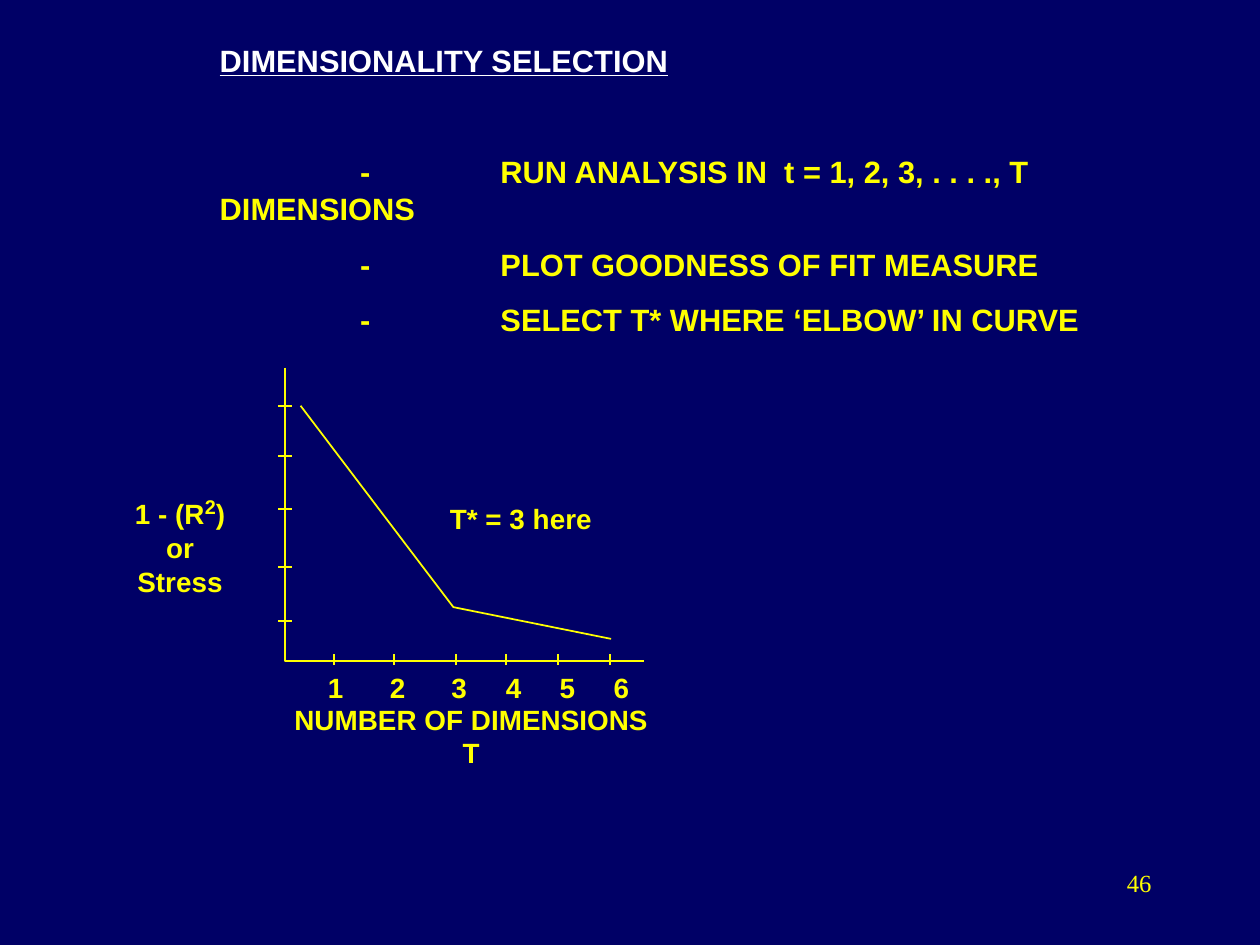
from lxml import etree
from pptx import Presentation
from pptx import util as u
from pptx.dml.color import RGBColor
from pptx.enum import shapes, text
from pptx.oxml import ns

NAVY = RGBColor(0x00, 0x00, 0x66)
YELLOW = RGBColor(0xFF, 0xFF, 0x00)
WHITE = RGBColor(0xFF, 0xFF, 0xFF)
CENTER, RIGHT = text.PP_ALIGN.CENTER, text.PP_ALIGN.RIGHT

TAB = 2.83
TITLE = "DIMENSIONALITY SELECTION"
STEPS = [
    ("RUN ANALYSIS IN  t = 1, 2, 3, . . . ., T DIMENSIONS", 1.0, 42.6),
    ("PLOT GOODNESS OF FIT MEASURE", 1.5, 0),
    ("SELECT T* WHERE ‘ELBOW’ IN CURVE", 1.5, 0),
]
BODY_FONT = {"name": "Arial", "size": u.Pt(17.6), "bold": True}
LABEL_FONT = {"name": "Arial", "size": u.Pt(15.9), "bold": True}
NUMBER_FONT = {"name": "Times New Roman", "size": u.Pt(14.1)}

AXES = [(5.74, 7.41), (5.74, 13.33), (12.98, 13.33)]
CURVE = [(6.06, 8.18), (9.14, 12.24), (12.32, 12.88)]
X_TICKS = [6.74, 7.94, 9.2, 10.2, 11.25, 12.29]
Y_TICKS = [8.18, 9.2, 10.26, 11.43, 12.52]
DIGITS = [("1", 6.36), ("2", 7.61), ("3", 8.85), ("4", 9.95), ("5", 11.03), ("6", 12.12)]


def set_all(target, values):
    for name, value in values.items():
        setattr(target, name, value)


def add_run(paragraph, content, font, color=YELLOW):
    run = paragraph.add_run()
    run.text = content
    set_all(run.font, font)
    run.font.color.rgb = color
    return run


def add_box(slide, place, wrap=False, grow=True):
    frame = slide.shapes.add_textbox(*map(u.Cm, place)).text_frame
    frame.word_wrap = wrap
    if grow:
        frame.auto_size = text.MSO_AUTO_SIZE.SHAPE_TO_FIT_TEXT
    return frame


def add_lines(frame, lines, font, **format_values):
    for index, line in enumerate(lines):
        paragraph = frame.add_paragraph() if index else frame.paragraphs[0]
        set_all(paragraph, format_values)
        add_run(paragraph, line, font)


def set_indent(paragraph):
    properties = paragraph._p.get_or_add_pPr()
    for name, length in {"marL": TAB, "indent": 0, "defTabSz": TAB}.items():
        properties.set(name, str(int(u.Cm(length))))


def style_line(shape):
    shape.line.color.rgb = YELLOW
    shape.line.width = u.Pt(1)


def add_polyline(slide, points):
    start, *rest = [(u.Cm(x), u.Cm(y)) for x, y in points]
    builder = slide.shapes.build_freeform(*start)
    builder.add_line_segments(rest, close=False)
    shape = builder.convert_to_shape()
    shape.fill.background()
    shape.shadow.inherit = False
    style_line(shape)


def add_tick(slide, *ends):
    tick = slide.shapes.add_connector(shapes.MSO_CONNECTOR.STRAIGHT, *map(u.Cm, ends))
    style_line(tick)
    etree.SubElement(tick._element.spPr, ns.qn("a:effectLst"))


def add_body(slide):
    frame = add_box(slide, (1.35, 0.71, 22.76, 15.72), wrap=True)
    title = frame.paragraphs[0]
    set_indent(title)
    add_run(title, TITLE, {**BODY_FONT, "underline": True}, WHITE)
    for step, spacing, before in STEPS:
        paragraph = frame.add_paragraph()
        set_all(paragraph, {"line_spacing": spacing, "space_before": u.Pt(before)})
        set_indent(paragraph)
        add_run(paragraph, "\t-\t" + step, BODY_FONT)


def add_plot(slide):
    add_polyline(slide, AXES)
    for x in X_TICKS:
        add_tick(slide, x, 13.41, x, 13.18)
    for y in Y_TICKS:
        add_tick(slide, 5.61, y, 5.89, y)
    add_polyline(slide, CURVE)

    axis_title = add_box(slide, (5.65, 14.04, 7.7, 1.6))
    add_lines(axis_title, ["NUMBER OF DIMENSIONS", "T"], LABEL_FONT, alignment=CENTER)
    for digit, left in DIGITS:
        add_lines(add_box(slide, (left, 13.4, 0.82, 0.94)), [digit], LABEL_FONT)
    elbow = add_box(slide, (8.82, 9.65, 3.38, 1.27))
    add_lines(elbow, ["T* = 3 here"], LABEL_FONT, line_spacing=1.5)

    measure = add_box(slide, (2.45, 9.76, 2.36, 2.29))
    add_lines(measure, ["1 - (R", "or", "Stress"], LABEL_FONT, alignment=CENTER)
    first = measure.paragraphs[0]
    square = add_run(first, "2", {**LABEL_FONT, "size": u.Pt(19.4)})
    square.font._element.set("baseline", "30000")
    add_run(first, ")", LABEL_FONT)


def main():
    presentation = Presentation()
    set_all(presentation, {"slide_width": u.Cm(25.4), "slide_height": u.Cm(19.05)})
    slide = presentation.slides.add_slide(presentation.slide_layouts[6])
    slide.background.fill.solid()
    slide.background.fill.fore_color.rgb = NAVY
    page = add_box(slide, (18.18, 17.37, 5.28, 1.27), wrap=True, grow=False)
    add_lines(page, ["46"], NUMBER_FONT, alignment=RIGHT)
    add_body(slide)
    add_plot(slide)
    presentation.save("out.pptx")


if __name__ == "__main__":
    main()
